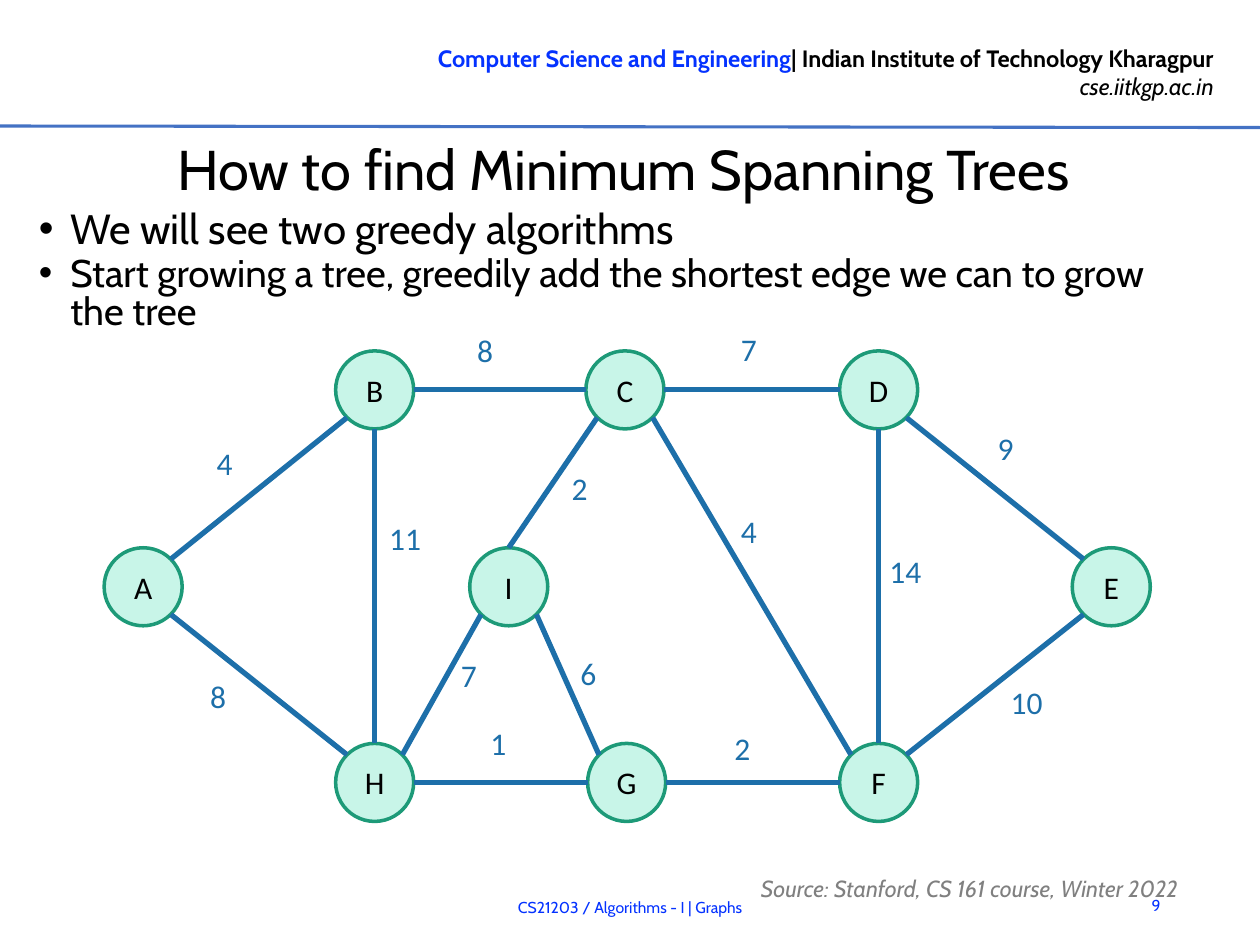
from pptx import Presentation
from pptx.dml.color import RGBColor
from pptx.enum.shapes import MSO_CONNECTOR, MSO_SHAPE
from pptx.enum.text import MSO_ANCHOR, PP_ALIGN
from pptx.oxml.ns import qn
from pptx.util import Pt
from lxml import etree

STRAIGHT, OVAL = MSO_CONNECTOR.STRAIGHT, MSO_SHAPE.OVAL
TOP, MIDDLE = MSO_ANCHOR.TOP, MSO_ANCHOR.MIDDLE
LEFT, CENTER, RIGHT = PP_ALIGN.LEFT, PP_ALIGN.CENTER, PP_ALIGN.RIGHT

BLACK = RGBColor(0x00, 0x00, 0x00)
GRAY = RGBColor(0x80, 0x80, 0x80)
BRIGHT_BLUE = RGBColor(0x04, 0x32, 0xFF)
RULE_BLUE = RGBColor(0x44, 0x72, 0xC4)
EDGE_BLUE = RGBColor(0x1D, 0x6F, 0xA9)
NODE_FILL = RGBColor(0xC8, 0xF5, 0xE8)
NODE_LINE = RGBColor(0x1D, 0x9A, 0x78)

# Graph geometry, relative to the top left of the graph box
NODE_SIZE = 44.6
MID_ROW, LOW_ROW = 112.5, 224.3
NODES = {
    "A": (0, MID_ROW), "B": (132.3, 0), "C": (275.3, 0), "D": (420.3, 0),
    "E": (553.2, MID_ROW), "F": (420.3, LOW_ROW), "G": (276.3, LOW_ROW),
    "H": (132.3, LOW_ROW), "I": (208.9, MID_ROW),
}
# Points on a node's rim, as fractions of its radius
D = 0.71
RIM = {
    "N": (0, -1), "S": (0, 1), "W": (-1, 0), "E": (1, 0),
    "NW": (-D, -D), "NE": (D, -D), "SW": (-D, D), "SE": (D, D),
}
# Start node, rim point, end node, rim point, weight, weight position
EDGES = [
    ("A", "NE", "B", "SW", "4", (57.2, 49.5)),
    ("A", "SE", "H", "NW", "8", (53.5, 183)),
    ("B", "E", "C", "W", "8", (206, -14.6)),
    ("B", "S", "H", "N", "11", (155.8, 92.5)),
    ("C", "E", "D", "W", "7", (356.7, -15.5)),
    ("C", "SW", "I", "N", "2", (260, 64)),
    ("C", "SE", "F", "NW", "4", (356.7, 88.5)),
    ("D", "SE", "E", "NW", "9", (503.5, 41.3)),
    ("D", "S", "F", "N", "14", (441.6, 111.3)),
    ("E", "SW", "F", "NE", "10", (510.9, 186)),
    ("I", "SW", "H", "NE", "7", (196.8, 171)),
    ("I", "SE", "G", "NW", "6", (265, 169.6)),
    ("H", "E", "G", "W", "1", (213.6, 209.8)),
    ("G", "E", "F", "W", "2", (353.1, 212.7)),
]


def add_run(p, text, size, color, font="Cabin", bold=False, italic=False):
    r = p.add_run()
    r.text = text
    r.font.name = font
    r.font.size = Pt(size)
    r.font.color.rgb = color
    r.font.bold = bold
    r.font.italic = italic


def add_box(s, box, anchor=TOP, align=LEFT, wrap=True):
    tf = s.shapes.add_textbox(*map(Pt, box)).text_frame
    tf.word_wrap = wrap
    tf.vertical_anchor = anchor
    tf.paragraphs[0].alignment = align
    return tf


def add_line(s, start, end, color, width):
    line = s.shapes.add_connector(STRAIGHT, *map(Pt, (*start, *end)))
    line.line.color.rgb = color
    line.line.width = Pt(width)
    etree.SubElement(line._element.spPr, qn("a:effectLst"))


def add_header(s, box):
    tf = add_box(s, box, align=RIGHT, wrap=False)
    p = tf.paragraphs[0]
    add_run(p, "Computer Science and Engineering", 13.5, BRIGHT_BLUE, bold=True)
    add_run(p, "| Indian Institute of Technology Kharagpur", 13.5, BLACK, bold=True)
    p = tf.add_paragraph()
    p.alignment = RIGHT
    add_run(p, "cse.iitkgp.ac.in", 13.5, BLACK, italic=True)
    add_line(s, (0, 72), (720, 72.9), RULE_BLUE, 1.75)


def add_title(s, box):
    tf = add_box(s, box, MIDDLE, CENTER)
    tf.margin_left = tf.margin_right = tf.margin_bottom = 0
    tf.margin_top = Pt(0.7)
    add_run(tf.paragraphs[0], "How to find Minimum Spanning Trees", 32, BLACK)


def add_bullets(s, box):
    tf = add_box(s, box)
    items = [
        ("We will see two greedy algorithms", 24),
        ("Start growing a tree, greedily add the shortest edge we can to grow the tree", 22),
    ]
    for i, (text, size) in enumerate(items):
        p = tf.add_paragraph() if i else tf.paragraphs[0]
        p.line_spacing = Pt(21.6)
        p.space_before = Pt(1.3 if i else 0)
        p.space_after = Pt(1.3)
        pPr = p._p.get_or_add_pPr()
        pPr.set("marL", str(Pt(18)))
        pPr.set("indent", str(-Pt(18)))
        etree.SubElement(pPr, qn("a:buFont"), typeface="Arial")
        etree.SubElement(pPr, qn("a:buChar"), char="•")
        add_run(p, text, size, BLACK)


def add_graph(s, left, top):
    radius = NODE_SIZE / 2

    def rim_point(node, side):
        (x, y), (dx, dy) = NODES[node], RIM[side]
        return left + x + radius * (1 + dx), top + y + radius * (1 + dy)

    # Nodes
    for name, (x, y) in NODES.items():
        sp = s.shapes.add_shape(OVAL, Pt(left + x), Pt(top + y), Pt(NODE_SIZE), Pt(NODE_SIZE))
        sp.shadow.inherit = False
        sp.fill.solid()
        sp.fill.fore_color.rgb = NODE_FILL
        sp.line.color.rgb = NODE_LINE
        sp.line.width = Pt(2)
        tf = sp.text_frame
        tf.vertical_anchor = MIDDLE
        tf.paragraphs[0].alignment = CENTER
        add_run(tf.paragraphs[0], name, 18, BLACK, "Calibri")

    # Edges with their weights
    for a, a_side, b, b_side, weight, (x, y) in EDGES:
        add_line(s, rim_point(a, a_side), rim_point(b, b_side), EDGE_BLUE, 3)
        tf = add_box(s, (left + x, top + y, 62, 36))
        add_run(tf.paragraphs[0], weight, 18, EDGE_BLUE, "Calibri")


def add_footer(s, top):
    # Course name and page number
    tf = add_box(s, (118.8, top, 482.4, 28.8), MIDDLE, CENTER)
    add_run(tf.paragraphs[0], "CS21203 / Algorithms - I | Graphs", 9, BRIGHT_BLUE)
    tf = add_box(s, (635, top - 1.4, 35.3, 28.8), MIDDLE, RIGHT)
    add_run(tf.paragraphs[0], "9", 9, BRIGHT_BLUE)

    # Source credit
    tf = add_box(s, (427.7, top - 7.2, 289.4, 16.6), MIDDLE)
    p = tf.paragraphs[0]
    p.line_spacing = Pt(21.3)
    add_run(p, "Source: Stanford, CS 161 course, Winter 2022", 13.3, GRAY, italic=True)


def main():
    prs = Presentation()
    prs.slide_width, prs.slide_height = Pt(720), Pt(540)
    s = prs.slides.add_slide(prs.slide_layouts[6])
    add_header(s, (190.8, 21.6, 509.8, 40.3))
    add_title(s, (23, 76.1, 666.7, 39.6))
    add_bullets(s, (15.1, 119.5, 674.6, 389.5))
    add_graph(s, 59.5, 200.5)
    add_footer(s, 504)
    prs.save("out.pptx")


if __name__ == "__main__":
    main()
